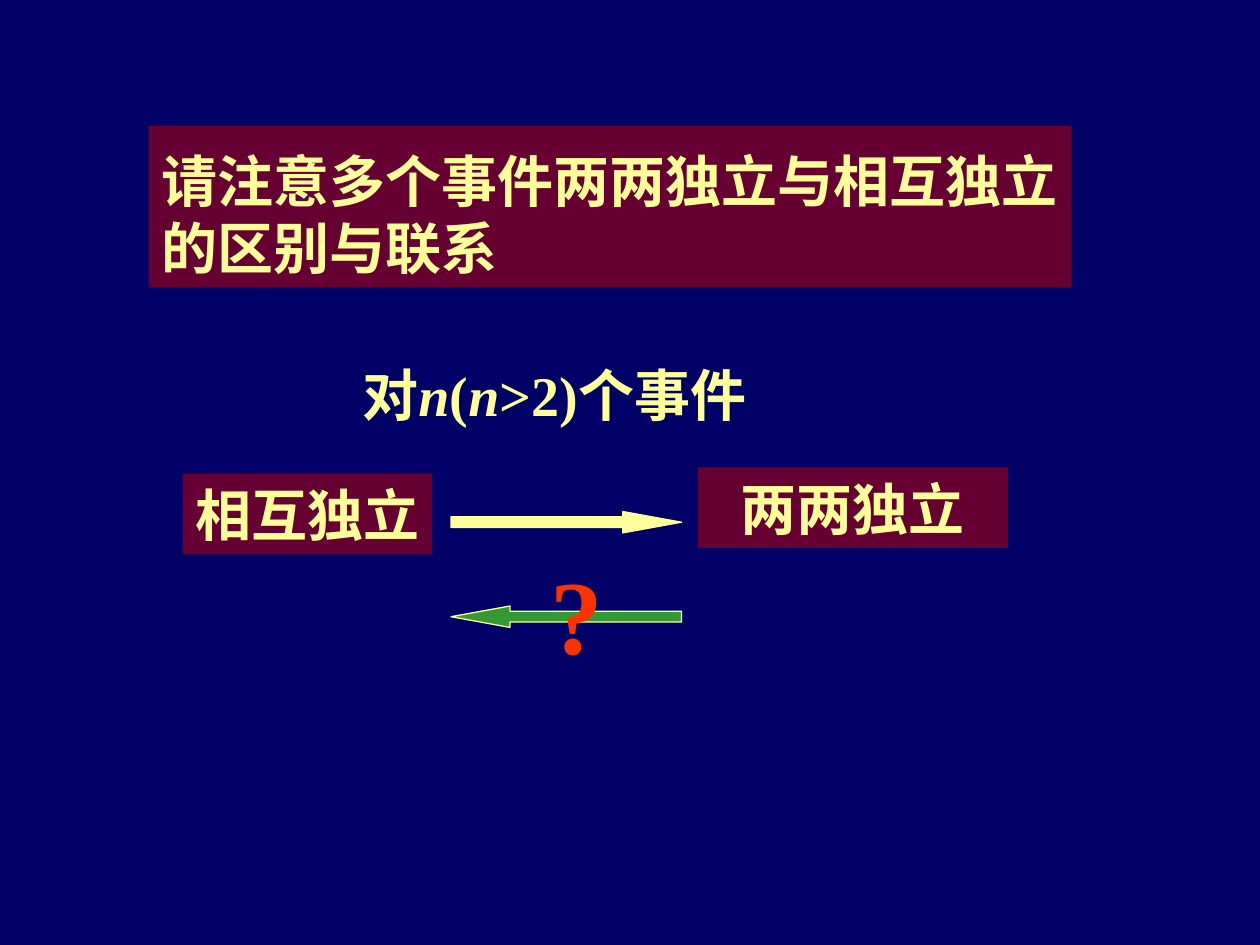
from pptx import Presentation
from pptx.dml.color import RGBColor
from pptx.enum.shapes import MSO_SHAPE
from pptx.enum.text import MSO_ANCHOR, MSO_AUTO_SIZE, PP_ALIGN
from pptx.util import Inches, Pt

COLORS = {
    "back": "000066",
    "panel": "660033",
    "text": "FFFF99",
    "green": "339933",
    "red": "FF3300",
}


def color(name):
    return RGBColor.from_string(COLORS[name])


def paint(shape, name):
    shape.fill.solid()
    shape.fill.fore_color.rgb = color(name)


def write(shape, lines, size=32, ink="text", align=PP_ALIGN.CENTER, wrap=False, lead=1.0):
    frame = shape.text_frame
    frame.word_wrap = wrap
    frame.auto_size = MSO_AUTO_SIZE.SHAPE_TO_FIT_TEXT
    frame.vertical_anchor = MSO_ANCHOR.MIDDLE
    for i, line in enumerate(lines):
        para = frame.add_paragraph() if i else frame.paragraphs[0]
        para.alignment = align
        para.space_before = Pt(0)
        para.line_spacing = 1.0 if i else lead
        for text, slant in line:
            run = para.add_run()
            run.text = text
            font = run.font
            font.name = "Times New Roman"
            font.size = Pt(size)
            font.bold = True
            font.italic = slant
            font.color.rgb = color(ink)


def add_title(slide, box):
    title = slide.shapes.title
    title.left, title.top, title.width, title.height = map(Inches, box)
    paint(title, "panel")
    lines = [[("请注意多个事件两两独立与相互独立", False)], [("的区别与联系", False)]]
    write(title, lines, align=PP_ALIGN.LEFT, lead=1.2)


def add_panel(slide, box, text, wrap=False):
    panel = slide.shapes.add_shape(MSO_SHAPE.RECTANGLE, *map(Inches, box))
    panel.shadow.inherit = False
    paint(panel, "panel")
    panel.line.fill.background()
    write(panel, [[(text, False)]], wrap=wrap)


def add_arrow(slide, box, kind, fill):
    arrow = slide.shapes.add_shape(kind, *map(Inches, box))
    arrow.shadow.inherit = False
    arrow.adjustments[0] = 0.5
    arrow.adjustments[1] = 2.75
    paint(arrow, fill)
    arrow.line.color.rgb = color("text")
    arrow.line.width = Pt(0.75)


def add_label(slide, box, parts, **style):
    label = slide.shapes.add_textbox(*map(Inches, box))
    write(label, [parts], **style)


def main():
    deck = Presentation()
    deck.slide_width, deck.slide_height = Inches(10), Inches(7.5)
    slide = deck.slides.add_slide(deck.slide_layouts[5])
    paint(slide.background, "back")

    add_title(slide, (1.18, 1, 7.32, 1.28))
    add_panel(slide, (5.54, 3.71, 2.46, 0.64), "两两独立", wrap=True)
    add_panel(slide, (1.45, 3.76, 1.98, 0.64), "相互独立")
    add_arrow(slide, (3.58, 4.06, 1.83, 0.17), MSO_SHAPE.RIGHT_ARROW, "text")
    event = [("对", False), ("n", True), ("(", False), ("n", True), (">2)个事件", False)]
    add_label(slide, (2.67, 2.81, 3.46, 0.64), event)
    add_arrow(slide, (3.58, 4.81, 1.83, 0.17), MSO_SHAPE.LEFT_ARROW, "green")
    add_label(slide, (4.27, 4.31, 0.61, 1.1), [("?", False)], size=60, ink="red")
    deck.save("out.pptx")


if __name__ == "__main__":
    main()
